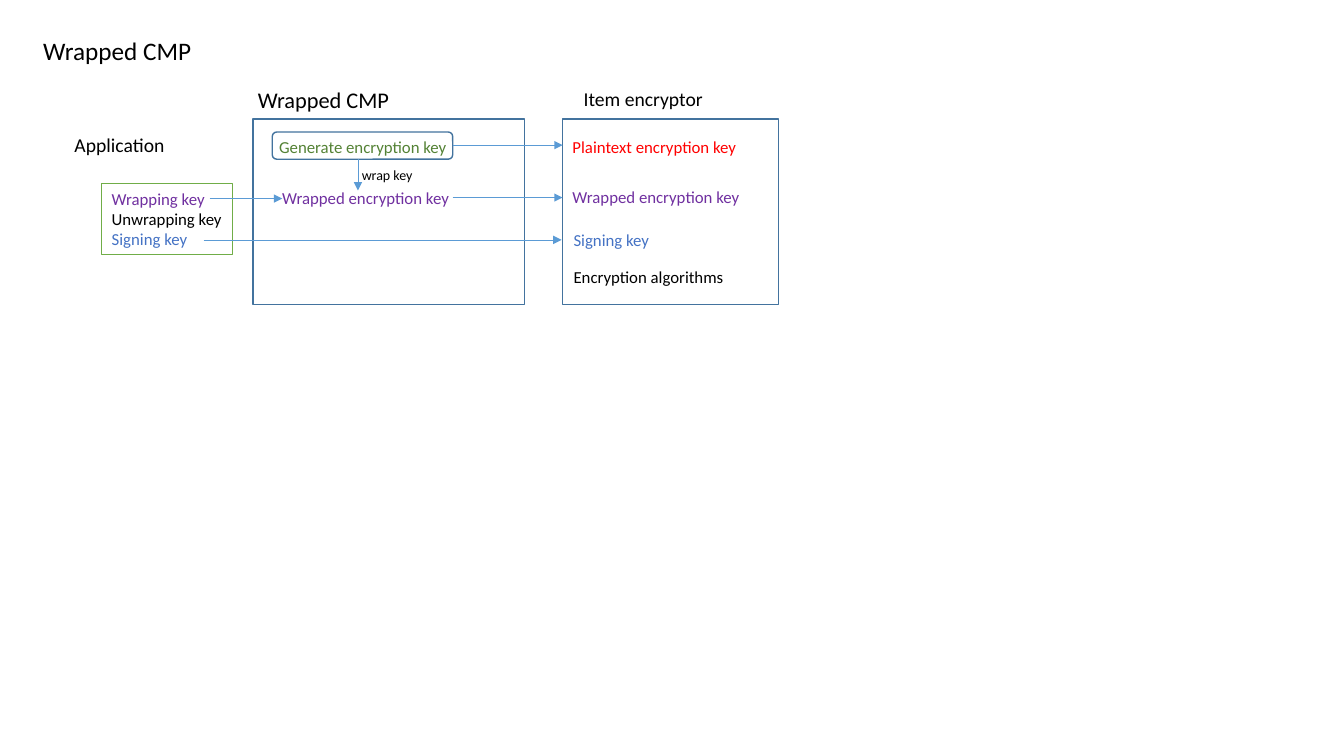
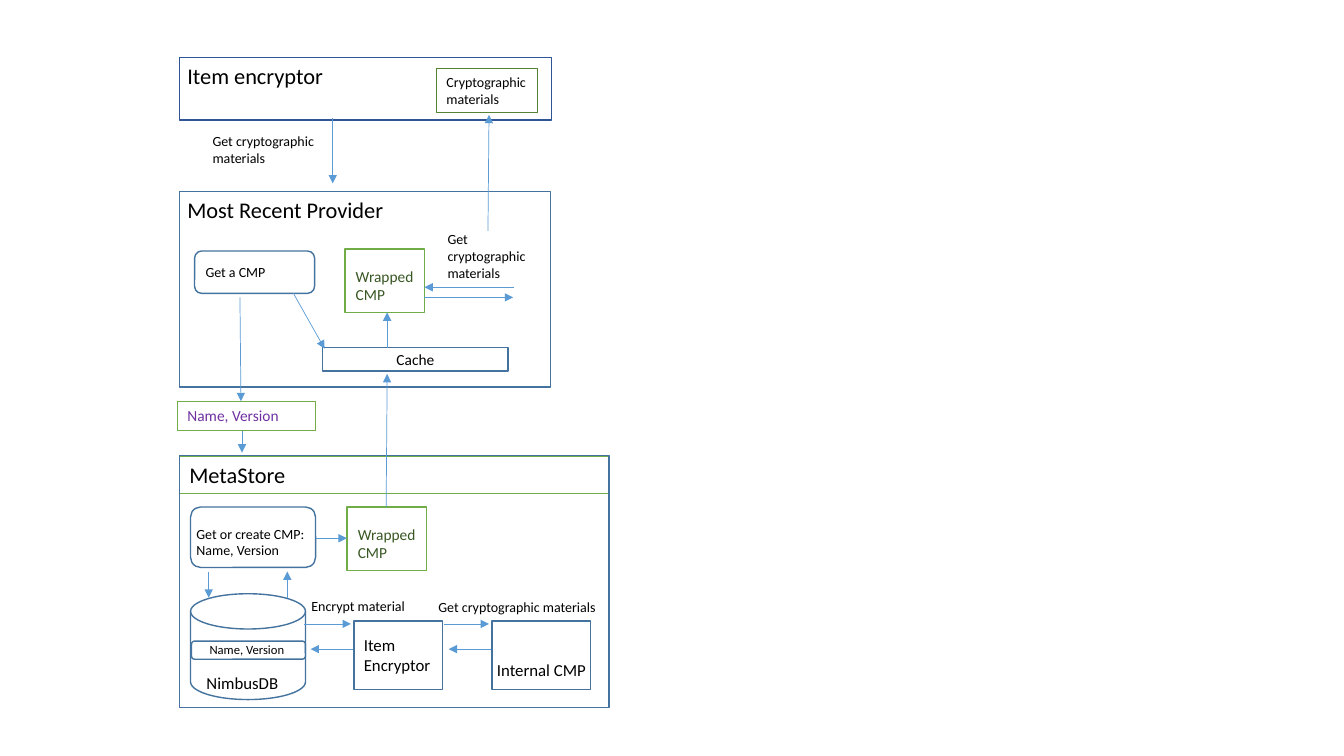
from itertools import cycle

from lxml import etree
from pptx import Presentation
from pptx.dml.color import RGBColor
from pptx.enum import shapes, text
from pptx.oxml import ns
from pptx.util import Inches, Pt

FONT = "Calibri"
BLACK = RGBColor(0x00, 0x00, 0x00)
RED = RGBColor(0xFF, 0x00, 0x00)
PURPLE = RGBColor(0x70, 0x30, 0xA0)
BLUE = RGBColor(0x44, 0x72, 0xC4)
NAVY = RGBColor(0x2F, 0x55, 0x97)
STEEL = RGBColor(0x43, 0x73, 0x9E)
SKY = RGBColor(0x5B, 0x9B, 0xD5)
GREEN = RGBColor(0x70, 0xAD, 0x47)
DARK_GREEN = RGBColor(0x54, 0x82, 0x35)
DEEP_GREEN = RGBColor(0x38, 0x57, 0x23)
RECTANGLE = shapes.MSO_SHAPE.RECTANGLE
ROUNDED = shapes.MSO_SHAPE.ROUNDED_RECTANGLE
DISK = shapes.MSO_SHAPE.FLOWCHART_MAGNETIC_DISK


class Region:
    def __init__(self, slide, box):
        self.shapes = slide.shapes
        self.left, self.top, self.width, self.height = box

    def place(self, left, top, width, height):
        return (Inches(self.left + left), Inches(self.top + top),
                Inches(width), Inches(height))

    def fill_text(self, shape, wording, size, colors=(BLACK,), wrap=False,
                  anchor=text.MSO_ANCHOR.TOP, align=text.PP_ALIGN.LEFT):
        frame = shape.text_frame
        frame.text = wording
        frame.word_wrap = wrap
        frame.vertical_anchor = anchor
        color = cycle(colors)
        for paragraph in frame.paragraphs:
            paragraph.alignment = align
            for run in paragraph.runs:
                run.font.name = FONT
                run.font.size = Pt(size)
                run.font.color.rgb = next(color)

    def label(self, box, wording, size, color=BLACK, wrap=False):
        shape = self.shapes.add_textbox(*self.place(*box))
        self.fill_text(shape, wording, size, (color,), wrap)

    def outline(self, box, color=STEEL, kind=RECTANGLE, weight=1):
        shape = self.shapes.add_shape(kind, *self.place(*box))
        shape.shadow.inherit = False
        shape.fill.background()
        shape.line.color.rgb = color
        shape.line.width = Pt(weight)
        return shape

    def border(self, color=STEEL):
        self.outline((0, 0, self.width, self.height), color)

    def arrow(self, x1, y1, x2, y2):
        start = self.place(x1, y1, 0, 0)[:2]
        end = self.place(x2, y2, 0, 0)[:2]
        connector = self.shapes.add_connector(
            shapes.MSO_CONNECTOR.STRAIGHT, *start, *end)
        connector.line.color.rgb = SKY
        connector.line.width = Pt(0.5)
        properties = connector.element.spPr
        etree.SubElement(properties.find(ns.qn("a:ln")),
                         ns.qn("a:tailEnd"), type="triangle")
        etree.SubElement(properties, ns.qn("a:effectLst"))

    def wrapped_cmp(self, left, top):
        self.outline((left, top, 0.79, 0.63), GREEN)
        self.label((left + 0.01, top + 0.13, 0.79, 0.47),
                   "Wrapped\vCMP", 11, DEEP_GREEN)


def draw_application(slide, box):
    region = Region(slide, box)
    region.label((0, 0, 1.11, 0.34), "Application", 14)
    keys = region.outline((0.37, 0.55, 1.3, 0.71), GREEN, weight=0.75)
    region.fill_text(keys, "Wrapping key\vUnwrapping key\nSigning key", 12,
                     (PURPLE, BLACK, BLUE), wrap=True)


def draw_wrapping_provider(slide, box):
    region = Region(slide, box)
    region.border()
    region.label((-0.05, -0.37, 1.52, 0.37), "Wrapped CMP", 16)
    region.outline((0.19, 0.13, 1.79, 0.27), kind=ROUNDED)
    region.label((0.16, 0.13, 2.37, 0.3), "Generate encryption key", 12,
                 DARK_GREEN, wrap=True)
    region.arrow(1.04, 0.4, 1.04, 0.71)
    region.label((0.98, 0.42, 0.87, 0.27), "wrap key", 10, wrap=True)
    region.label((0.19, 0.63, 1.87, 0.3), "Wrapped encryption key", 12, PURPLE)


def draw_key_list(slide, box):
    region = Region(slide, box)
    region.border()
    region.label((0.11, -0.37, 1.4, 0.34), "Item encryptor", 14)
    for left, top, width, wording, color in (
            (0, 0.13, 1.84, "Plaintext encryption key", RED),
            (0, 0.62, 1.87, "Wrapped encryption key", PURPLE),
            (0.01, 1.05, 0.96, "Signing key", BLUE),
            (0.01, 1.42, 1.7, "Encryption algorithms", BLACK)):
        region.label((left, top, width, 0.3), wording, 12, color)


def draw_key_flows(slide, box):
    region = Region(slide, box)
    for start, end, height in ((2.08, 2.8, 0.79), (4.49, 5.58, 0.26),
                               (4.49, 5.58, 0.78), (2.02, 5.57, 1.2)):
        region.arrow(start, height, end, height)


def draw_item_encryptor(slide, box):
    region = Region(slide, box)
    region.border(NAVY)
    region.label((-0.02, 0, 1.57, 0.37), "Item encryptor", 16)
    materials = region.outline((2.55, 0.11, 1, 0.44), DARK_GREEN, weight=0.75)
    region.fill_text(materials, "Cryptographic\nmaterials", 10)
    region.arrow(1.52, 0.6, 1.52, 1.25)
    region.label((0.23, 0.7, 2.21, 0.44), "Get cryptographic\nmaterials", 10,
                 wrap=True)


def draw_most_recent_provider(slide, box):
    region = Region(slide, box)
    region.border()
    region.label((-0.02, 0, 2.22, 0.37), "Most Recent Provider", 16)
    region.outline((0.15, 0.59, 1.19, 0.42), kind=ROUNDED)
    region.label((0.16, 0.67, 0.8, 0.27), "Get a CMP", 10)
    region.wrapped_cmp(1.64, 0.57)
    cache = region.outline((1.42, 1.55, 1.84, 0.23))
    region.fill_text(cache, "Cache", 11, wrap=True,
                     anchor=text.MSO_ANCHOR.MIDDLE,
                     align=text.PP_ALIGN.CENTER)
    region.label((2.56, 0.34, 0.99, 0.61),
                 "Get\ncryptographic\nmaterials", 10)
    for ends in ((0.6, 1.05, 0.61, 2.08), (1.13, 1.01, 1.44, 1.56),
                 (2.06, 1.55, 2.06, 1.2), (2.43, 1.05, 3.31, 1.05),
                 (3.32, 0.95, 2.43, 0.95), (3.06, 0.39, 3.07, -0.76)):
        region.arrow(*ends)


def draw_request(slide, box):
    region = Region(slide, box)
    request = region.outline((0, 0, region.width, region.height), GREEN,
                             weight=0.75)
    region.fill_text(request, "Name, Version", 11, (PURPLE,), wrap=True)
    region.arrow(0.64, 0.3, 0.64, 0.51)


def draw_meta_store(slide, box):
    region = Region(slide, box)
    header = region.outline((0, 0.01, region.width, 0.37), GREEN, weight=0.75)
    region.fill_text(header, "MetaStore", 16, wrap=True)
    region.border()
    region.outline((0.11, 0.51, 1.24, 0.6), kind=ROUNDED)
    region.label((0.07, 0.64, 1.29, 0.44),
                 "Get or create CMP:\vName, Version", 10)
    region.wrapped_cmp(1.66, 0.51)
    region.outline((0.11, 1.37, 1.14, 1.05), kind=DISK)
    region.label((0.17, 2.1, 0.97, 0.3), "NimbusDB", 12)
    region.outline((0.12, 1.84, 1.13, 0.18), kind=ROUNDED)
    region.label((0.2, 1.8, 0.96, 0.25), "Name, Version", 9)
    encryptor = region.outline((1.73, 1.64, 0.88, 0.68))
    region.fill_text(encryptor, "Item\vEncryptor", 12, wrap=True,
                     anchor=text.MSO_ANCHOR.MIDDLE)
    region.outline((3.1, 1.64, 0.98, 0.68))
    region.label((3.05, 1.98, 1.09, 0.3), "Internal CMP", 12)
    region.label((1.21, 1.36, 1.14, 0.27), "Encrypt material", 10)
    region.label((2.47, 1.37, 1.79, 0.27), "Get cryptographic materials", 10)
    for ends in ((0.29, 1.15, 0.29, 1.41), (1.07, 1.41, 1.07, 1.15),
                 (1.35, 0.82, 1.66, 0.82), (2.05, 0.51, 2.06, -0.81),
                 (1.24, 1.67, 1.7, 1.67), (1.72, 1.92, 1.3, 1.92),
                 (2.62, 1.67, 3.07, 1.67), (3.09, 1.92, 2.67, 1.92)):
        region.arrow(*ends)


def draw_title(slide, box):
    region = Region(slide, box)
    region.label((0, 0, region.width, region.height), "Wrapped CMP", 18)


def add_key_slide(presentation):
    slide = presentation.slides.add_slide(presentation.slide_layouts[6])
    draw_title(slide, (0.33, 0.3, 1.69, 0.4))
    draw_application(slide, (0.64, 1.27, 1.67, 1.26))
    draw_wrapping_provider(slide, (2.51, 1.18, 2.69, 1.84))
    draw_key_list(slide, (5.58, 1.18, 2.14, 1.84))
    draw_key_flows(slide, (0, 1.18, 5.58, 1.84))


def add_provider_slide(presentation):
    slide = presentation.slides.add_slide(presentation.slide_layouts[6])
    draw_item_encryptor(slide, (1.78, 0.57, 3.69, 0.62))
    draw_most_recent_provider(slide, (1.78, 1.9, 3.68, 1.94))
    draw_request(slide, (1.76, 3.98, 1.37, 0.29))
    draw_meta_store(slide, (1.78, 4.52, 4.26, 2.5))


presentation = Presentation()
presentation.slide_width = Inches(13.33)
presentation.slide_height = Inches(7.5)
add_key_slide(presentation)
add_provider_slide(presentation)
presentation.save("out.pptx")
